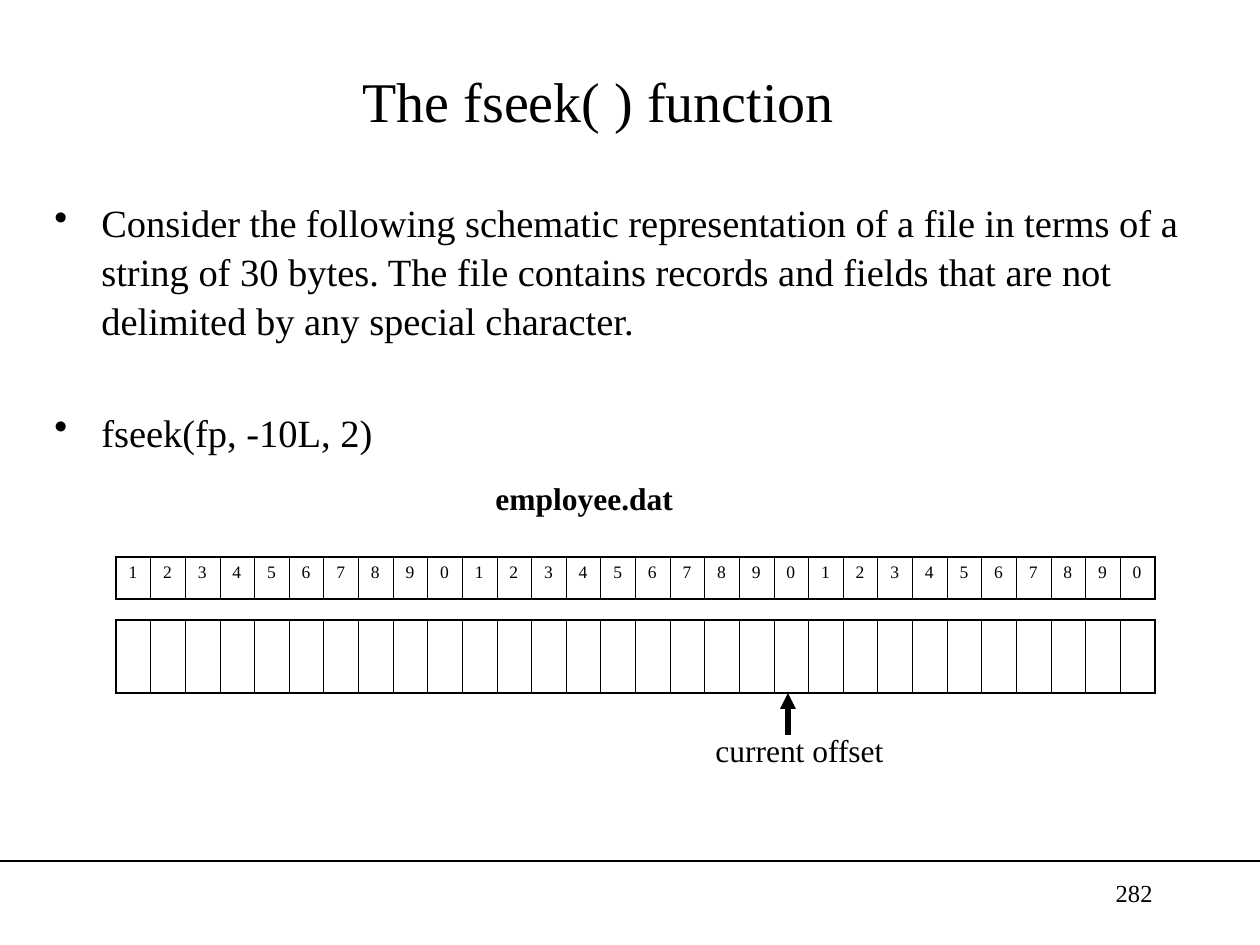
from lxml.etree import SubElement
from pptx import Presentation
from pptx.dml.color import RGBColor
from pptx.enum.shapes import MSO_CONNECTOR
from pptx.enum.text import MSO_ANCHOR, PP_ALIGN
from pptx.oxml import parse_xml
from pptx.oxml.ns import nsdecls, qn
from pptx.util import Emu, Pt

BLACK = RGBColor(0x00, 0x00, 0x00)
WHITE = RGBColor(0xFF, 0xFF, 0xFF)
FONT = "Times New Roman"
PX_PER_INCH = 126
BYTES = 30
OUTER, INNER = 1.08, 0.45  # cell border widths in points
BULLET_INDENT = 47


def px(length):
    return Emu(round(length * 914400 / PX_PER_INCH))


def style(paragraph, size, bold=False, align=PP_ALIGN.LEFT):
    paragraph.alignment = align
    font = paragraph.font
    font.name, font.size, font.bold = FONT, Pt(size), bold
    font.color.rgb = BLACK


def add_text(slide, box, text, size, bold=False, align=PP_ALIGN.LEFT,
             anchor=MSO_ANCHOR.TOP):
    frame = slide.shapes.add_textbox(*map(px, box)).text_frame
    frame.word_wrap = True
    frame.vertical_anchor = anchor
    frame.text = text
    style(frame.paragraphs[0], size, bold, align)
    return frame


def add_line(slide, start, end, width):
    line = slide.shapes.add_connector(
        MSO_CONNECTOR.STRAIGHT, *map(px, (*start, *end)))
    line.line.color.rgb = BLACK
    line.line.width = Pt(width)
    SubElement(line._element.spPr, qn("a:effectLst"))
    return line


def add_bullets(slide, box, items, gap):
    frame = add_text(slide, box, "\n".join(items), 22)
    for index, paragraph in enumerate(frame.paragraphs):
        properties = paragraph._p.get_or_add_pPr()
        properties.set("marL", str(px(BULLET_INDENT)))
        properties.set("indent", str(-px(BULLET_INDENT)))
        SubElement(properties, qn("a:buChar")).set("char", "•")
        style(paragraph, 22)
        paragraph.line_spacing = 1.06
        if index:
            paragraph.space_before = Pt(gap)


def set_borders(cell, widths):
    properties = cell._tc.get_or_add_tcPr()
    for position, (side, width) in enumerate(widths.items()):
        properties.insert(position, parse_xml(
            f'<a:ln{side} {nsdecls("a")} w="{Pt(width)}"><a:solidFill>'
            f'<a:srgbClr val="{BLACK}"/></a:solidFill></a:ln{side}>'))


def add_byte_row(slide, box, labels):
    left, top, width, height = box
    table = slide.shapes.add_table(1, len(labels), *map(px, box)).table
    table.first_row = table.horz_banding = False
    table.rows[0].height = px(height)
    last = len(labels) - 1
    for index, label in enumerate(labels):
        table.columns[index].width = px(width / len(labels))
        cell = table.cell(0, index)
        cell.fill.background()
        set_borders(cell, {"L": INNER if index else OUTER,
                           "R": INNER if index < last else OUTER,
                           "T": OUTER, "B": OUTER})
        cell.text = label
        style(cell.text_frame.paragraphs[0], 10)


def add_file_diagram(slide, box):
    left, top, width, height = box
    # File name, byte numbers and bytes
    add_text(slide, (left + 367, top, 221, 50), "employee.dat", 18, bold=True)
    numbers = [str((index + 1) % 10) for index in range(BYTES)]
    add_byte_row(slide, (left, top + 84, width, 42), numbers)
    add_byte_row(slide, (left, top + 147, width, 73), [""] * BYTES)
    # Pointer to the current offset
    pointer_x = left + 672
    pointer = add_line(slide, (pointer_x, top + 262), (pointer_x, top + 220), 3)
    SubElement(pointer.line._get_or_add_ln(), qn("a:tailEnd")).set(
        "type", "triangle")
    add_text(slide, (left + 587, top + height - 50, 221, 50),
             "current offset", 18)


def add_footer(slide, box, number):
    left, top, width, height = box
    add_line(slide, (left, top), (left + width, top), 0.75)
    add_text(slide, (left + 903, top + 11, 262, 63), number, 14,
             align=PP_ALIGN.RIGHT)


def main():
    deck = Presentation()
    deck.slide_width, deck.slide_height = px(1260), px(945)
    slide = deck.slides.add_slide(deck.slide_layouts[6])
    slide.background.fill.solid()
    slide.background.fill.fore_color.rgb = WHITE

    add_text(slide, (63, 32, 1071, 136), "The fseek( ) function", 32,
             align=PP_ALIGN.CENTER, anchor=MSO_ANCHOR.MIDDLE)
    add_bullets(slide, (42, 190, 1166, 378), [
        "Consider the following schematic representation of a file in terms "
        "of a string of 30 bytes. The file contains records and fields that "
        "are not delimited by any special character.",
        "fseek(fp, -10L, 2)",
    ], gap=36)
    add_file_diagram(slide, (116, 473, 1040, 302))
    add_footer(slide, (0, 861, 1260, 84), "282")
    deck.save("out.pptx")


if __name__ == "__main__":
    main()
